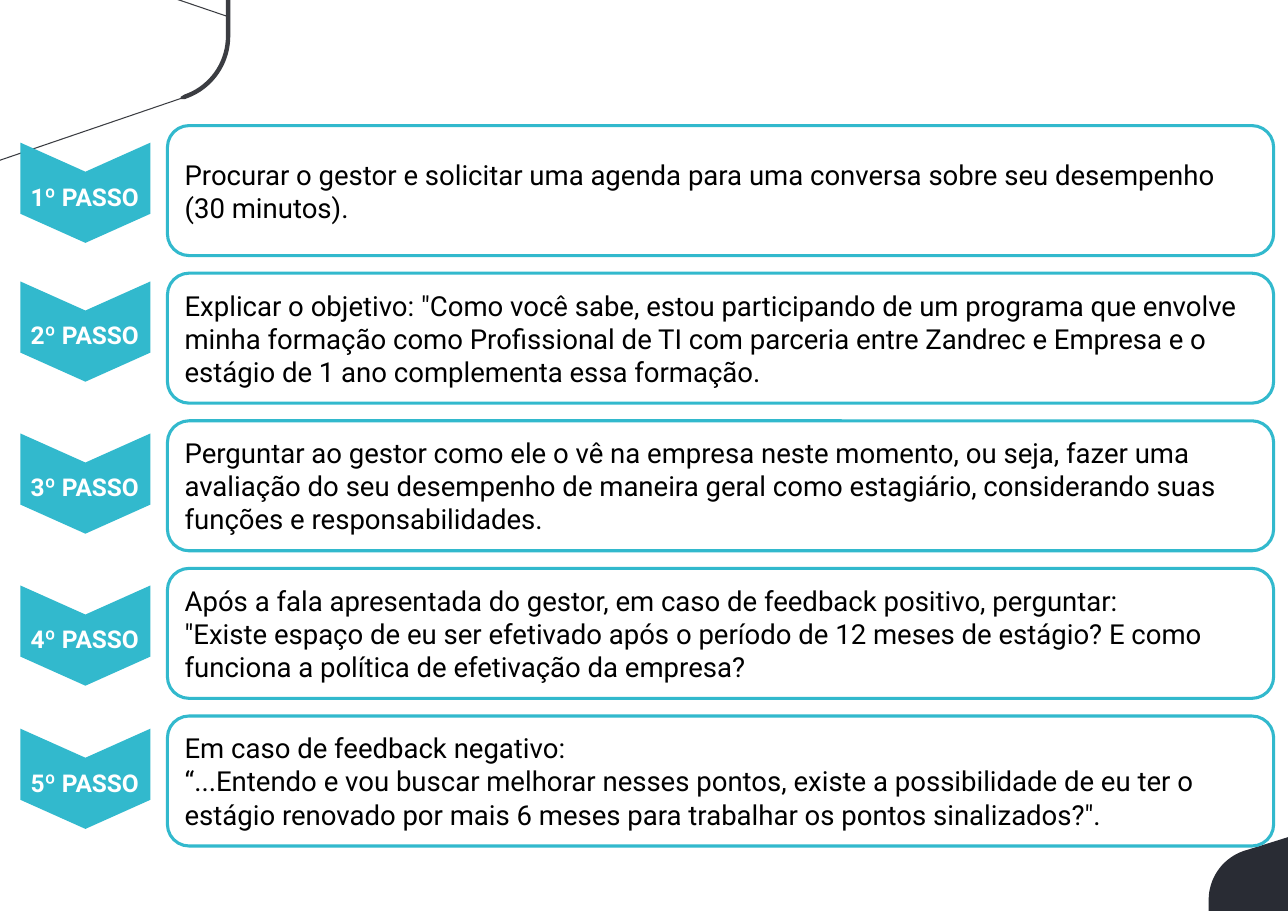
from math import cos, radians, sin

from pptx import Presentation
from pptx.dml.color import RGBColor
from pptx.enum.shapes import MSO_SHAPE as SHAPE
from pptx.enum.text import MSO_ANCHOR as ANCHOR, PP_ALIGN as ALIGN
from pptx.util import Pt

PX = 9144
W, H = 1169, 827
TEAL, WHITE, BLACK = "32B9CD", "FFFFFF", "000000"
FRAME, CORNER = "3B3D42", "292C34"

STEPS = [
    (116, ["Procurar o gestor e solicitar uma agenda para uma conversa sobre seu desempenho (30 minutos)."]),
    (242, ["Explicar o objetivo: \"Como você sabe, estou participando de um programa que envolve minha "
           "formação como Profissional de TI com parceria entre Zandrec e Empresa e o estágio de 1 ano "
           "complementa essa formação."]),
    (380, ["Perguntar ao gestor como ele o vê na empresa neste momento, ou seja, fazer uma avaliação do "
           "seu desempenho de maneira geral como estagiário, considerando suas funções e "
           "responsabilidades."]),
    (518, ["Após a fala apresentada do gestor, em caso de feedback positivo, perguntar:",
           "\"Existe espaço de eu ser efetivado após o período de 12 meses de estágio? E como funciona a "
           "política de efetivação da empresa?"]),
    (648, ["Em caso de feedback negativo:",
           "“...Entendo e vou buscar melhorar nesses pontos, existe a possibilidade de eu ter o estágio "
           "renovado por mais 6 meses para trabalhar os pontos sinalizados?\"."]),
]
BOX_X, BOX_Y, BOX_W, BOX_H, BOX_STEP = 152, 114, 1004, 118, 134
CHEVRON_X, CHEVRON_W, CHEVRON_H = 32, 91, 118
LABEL_X, LABEL_DY, LABEL_W, LABEL_H = 18, 44, 118, 37
BODY_FONT = {"name": "Roboto", "size": Pt(18), "bold": False}
LABEL_FONT = {"name": "Roboto", "size": Pt(16), "bold": True}
BODY_FRAME = {"word_wrap": True, "vertical_anchor": ANCHOR.MIDDLE}
LABEL_FRAME = {"word_wrap": True, "margin_left": 0, "margin_right": 0}


def rgb(color):
    return RGBColor.from_string(color)


def px(*values):
    return [round(v * PX) for v in values]


def arc(cx, cy, r, start, end, n=18):
    angles = [radians(start + (end - start) * i / n) for i in range(n + 1)]
    return [(cx + r * cos(a), cy + r * sin(a)) for a in angles]


def style(sp, fill, line=None):
    sp.shadow.inherit = False
    sp.fill.solid()
    sp.fill.fore_color.rgb = rgb(fill)
    if line:
        sp.line.color.rgb = rgb(line)
        sp.line.width = Pt(2)
    else:
        sp.line.fill.background()


def outline(s, points, fill):
    first, *rest = [px(x, y) for x, y in points]
    builder = s.shapes.build_freeform(*first, scale=1.0)
    builder.add_line_segments(rest, close=True)
    style(builder.convert_to_shape(), fill)


def write(sp, lines, font, color, align, frame):
    tf = sp.text_frame
    for key, value in frame.items():
        setattr(tf, key, value)
    for i, line in enumerate(lines):
        p = tf.add_paragraph() if i else tf.paragraphs[0]
        p.alignment = align
        r = p.add_run()
        r.text = line
        for key, value in font.items():
            setattr(r.font, key, value)
        r.font.color.rgb = rgb(color)


def add_step(s, i, y, lines):
    box = s.shapes.add_shape(SHAPE.ROUNDED_RECTANGLE,
                             *px(BOX_X, BOX_Y + i * BOX_STEP, BOX_W, BOX_H))
    style(box, WHITE, TEAL)
    write(box, lines, BODY_FONT, BLACK, ALIGN.LEFT, BODY_FRAME)

    chevron = s.shapes.add_shape(SHAPE.CHEVRON, *px(CHEVRON_X, y, CHEVRON_W, CHEVRON_H))
    chevron.rotation = 90
    chevron.adjustments[0] = 0.29
    style(chevron, TEAL)

    label = s.shapes.add_textbox(*px(LABEL_X, y + LABEL_DY, LABEL_W, LABEL_H))
    write(label, [f"{i + 1}º PASSO"], LABEL_FONT, WHITE, ALIGN.CENTER, LABEL_FRAME)


def main():
    prs = Presentation()
    prs.slide_width, prs.slide_height = px(W, H)
    s = prs.slides.add_slide(prs.slide_layouts[6])

    outline(s, [(W, 760), *arc(1144, 817, 47, 256, 180), (1097, H), (W, H)], CORNER)
    outline(s, [(0, 146), (164, 90), (168, 90), *arc(149, 33, 60, 68, 0),
                (209, 0), (205, 0), (205, 14), (164, 0), (161, 0), (205, 15),
                *arc(149, 33, 56, 0, 71), (164, 88), (164, 89), (0, 145)], FRAME)
    for i, (y, lines) in enumerate(STEPS):
        add_step(s, i, y, lines)

    prs.save("out.pptx")


if __name__ == "__main__":
    main()
